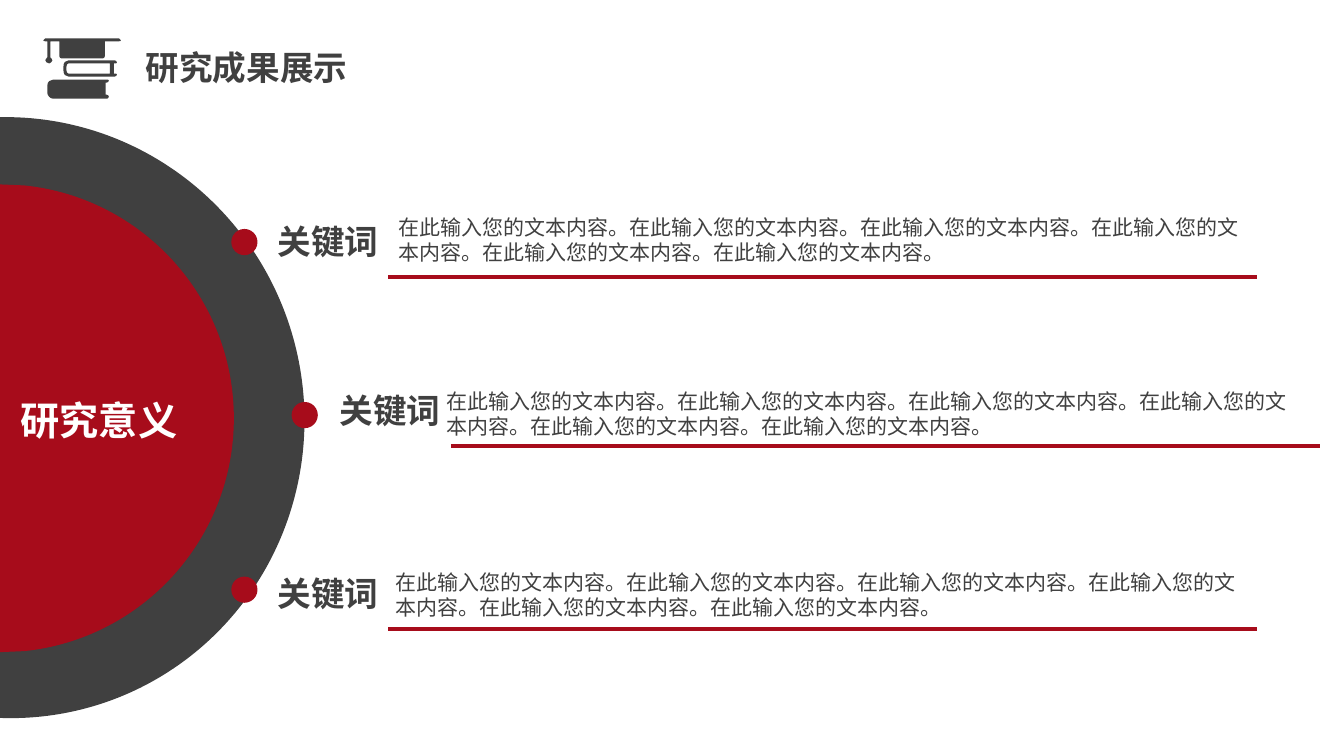
import lxml.etree
import pptx
import pptx.dml.color
import pptx.enum.shapes
import pptx.enum.text
import pptx.oxml.ns
import pptx.util

Cm = pptx.util.Cm
Pt = pptx.util.Pt
qn = pptx.oxml.ns.qn
SHAPES = pptx.enum.shapes.MSO_SHAPE
ALIGN = pptx.enum.text.PP_ALIGN
ANCHOR = pptx.enum.text.MSO_ANCHOR

TITLE = "研究成果展示"
TOPIC = "研究意义"
KEYWORD = "关键词"
BODY = "在此输入您的文本内容。" * 6
FONT = "Noto Sans CJK SC"
COLORS = {"dark": "404040", "red": "A70C1B", "white": "FFFFFF"}

ROWS = [
    {"dot": (5.83, 5.77), "keyword": (6.75, 5.43), "body": (9.8, 5.28), "rule": (9.79, 6.98)},
    {"dot": (7.35, 10.13), "keyword": (8.31, 9.69), "body": (11, 9.66), "rule": (11.36, 11.24)},
    {"dot": (5.83, 14.53), "keyword": (6.75, 14.3), "body": (9.72, 14.22), "rule": (9.79, 15.85)},
]
DOT_SIZE = 0.66
RULE_LENGTH = 21.9

STYLES = {
    "title": {"size": Pt(24), "bold": True, "color": "dark"},
    "topic": {"size": Pt(28), "bold": True, "color": "white"},
    "body": {"size": Pt(15), "bold": False, "color": "dark"},
}

OUTLINE_UNIT = Cm(0.0254)
HALF_DISC = [
    [(0, 183), (24, 184), (141, 196, 232, 295, 232, 415), (232, 535, 141, 634, 24, 646),
     (0, 647)],
]
BOOKS_AND_CAP = [
    [(108, 96), (108, 97, 107, 98, 106, 98), (53, 98), (50, 98, 47, 95, 47, 92), (47, 85),
     (47, 81, 50, 79, 53, 79), (106, 79), (107, 79, 108, 79, 108, 80),
     (108, 81, 107, 82, 106, 82), (105, 82), (105, 94), (106, 94), (107, 94, 108, 95, 108, 96)],
    [(116, 74), (116, 75, 115, 76, 114, 76), (68, 76), (65, 76, 63, 74, 63, 70), (63, 66),
     (63, 62, 65, 60, 68, 60), (114, 60), (115, 60, 116, 61, 116, 62),
     (116, 63, 115, 63, 114, 63), (113, 63), (113, 73), (114, 73), (115, 73, 116, 73, 116, 74)],
    [(68, 73), (109, 73), (109, 63), (68, 63), (67, 63, 66, 64, 66, 66), (66, 70),
     (66, 72, 67, 73, 68, 73)],
    [(118, 38), (45, 38), (44, 38, 43, 39, 43, 40), (43, 41, 44, 41, 45, 41), (47, 41),
     (47, 57), (46, 58, 45, 59, 45, 60), (45, 61, 47, 63, 49, 63), (50, 63, 52, 61, 52, 60),
     (52, 59, 51, 58, 50, 57), (50, 41), (59, 41), (59, 56), (59, 57, 60, 58, 61, 58),
     (102, 58), (103, 58, 104, 57, 104, 56), (104, 41), (118, 41),
     (119, 41, 120, 41, 120, 40), (120, 39, 119, 38, 118, 38)],
]


def rgb(name):
    return pptx.dml.color.RGBColor.from_string(COLORS[name])


def fill_shape(shape, color):
    shape.shadow.inherit = False
    shape.fill.solid()
    shape.fill.fore_color.rgb = rgb(color)
    shape.line.fill.background()


def write_text(shape, text, style, align=ALIGN.LEFT, **frame_format):
    frame = shape.text_frame
    settings = {"word_wrap": True, "auto_size": pptx.enum.text.MSO_AUTO_SIZE.NONE, **frame_format}
    for name, value in settings.items():
        setattr(frame, name, value)
    paragraph = frame.paragraphs[0]
    values = STYLES[style]
    paragraph.alignment = align
    paragraph.line_spacing = Pt(round(values["size"].pt * 1.21, 1))
    run = paragraph.add_run()
    run.text = text
    run.font.color.rgb = rgb(values["color"])
    for name, value in {"name": FONT, "size": values["size"], "bold": values["bold"]}.items():
        setattr(run.font, name, value)
    east_asian = lxml.etree.SubElement(run._r.get_or_add_rPr(), qn("a:ea"))
    east_asian.set("typeface", FONT)


def add_text(slide, box, *content, **text_format):
    write_text(slide.shapes.add_textbox(*map(Cm, box)), *content, **text_format)


def add_rule(slide, left, top):
    line = slide.shapes.add_connector(
        pptx.enum.shapes.MSO_CONNECTOR.STRAIGHT, Cm(left), Cm(top), Cm(left + RULE_LENGTH), Cm(top))
    line.line.color.rgb = rgb("red")
    line.line.width = Pt(3)
    lxml.etree.SubElement(line._element.spPr, qn("a:effectLst"))


def add_outline(slide, contours, color):
    builder = slide.shapes.build_freeform(*contours[0][0], scale=OUTLINE_UNIT)
    for index, contour in enumerate(contours):
        if index:
            builder.move_to(*contour[0])
        builder.add_line_segments([segment[-2:] for segment in contour[1:]], close=True)
    shape = builder.convert_to_shape()
    fill_shape(shape, color)

    left, top = (min(segment[-2:][axis] for contour in contours for segment in contour)
                 for axis in (0, 1))
    segments = [segment for contour in contours for segment in contour[1:]]
    for element, segment in zip(list(shape._element.iter(qn("a:lnTo"))), segments):
        if len(segment) == 6:
            element.tag = qn("a:cubicBezTo")
            for position in (0, 2):
                control = lxml.etree.Element(qn("a:pt"))
                control.set("x", str(segment[position] - left))
                control.set("y", str(segment[position + 1] - top))
                element.insert(position // 2, control)


def main():
    presentation = pptx.Presentation()
    presentation.slide_width = Cm(33.87)
    presentation.slide_height = Cm(19.05)
    slide = presentation.slides.add_slide(presentation.slide_layouts[5])

    title = slide.shapes.title
    title.left, title.top, title.width, title.height = map(Cm, (3.42, 1.04, 6.3, 1.27))
    write_text(title, TITLE, "title", vertical_anchor=ANCHOR.MIDDLE)

    ring = slide.shapes.add_shape(SHAPES.ARC, *map(Cm, (-7.37, 3.07, 15.16, 14.91)))
    ring.rotation = 75
    ring.adjustments[0] = 115.68
    ring.adjustments[1] = 10.23
    fill_shape(ring, "dark")

    add_outline(slide, HALF_DISC, "red")
    add_outline(slide, BOOKS_AND_CAP, "dark")

    add_text(slide, (0.08, 9.72, 4.83, 1.73), TOPIC, "topic", align=ALIGN.CENTER,
             vertical_anchor=ANCHOR.MIDDLE, margin_left=Cm(0.13), margin_right=Cm(0.13),
             margin_top=Cm(0.05), margin_bottom=Cm(0.05))

    for row in ROWS:
        dot = slide.shapes.add_shape(SHAPES.OVAL, *map(Cm, (*row["dot"], DOT_SIZE, DOT_SIZE)))
        fill_shape(dot, "red")
        add_text(slide, (*row["keyword"], 4.27, 1.27), KEYWORD, "title",
                 vertical_anchor=ANCHOR.MIDDLE)
        add_text(slide, (*row["body"], 21.9, 2.18), BODY, "body")
        add_rule(slide, *row["rule"])

    presentation.save("out.pptx")


if __name__ == "__main__":
    main()
